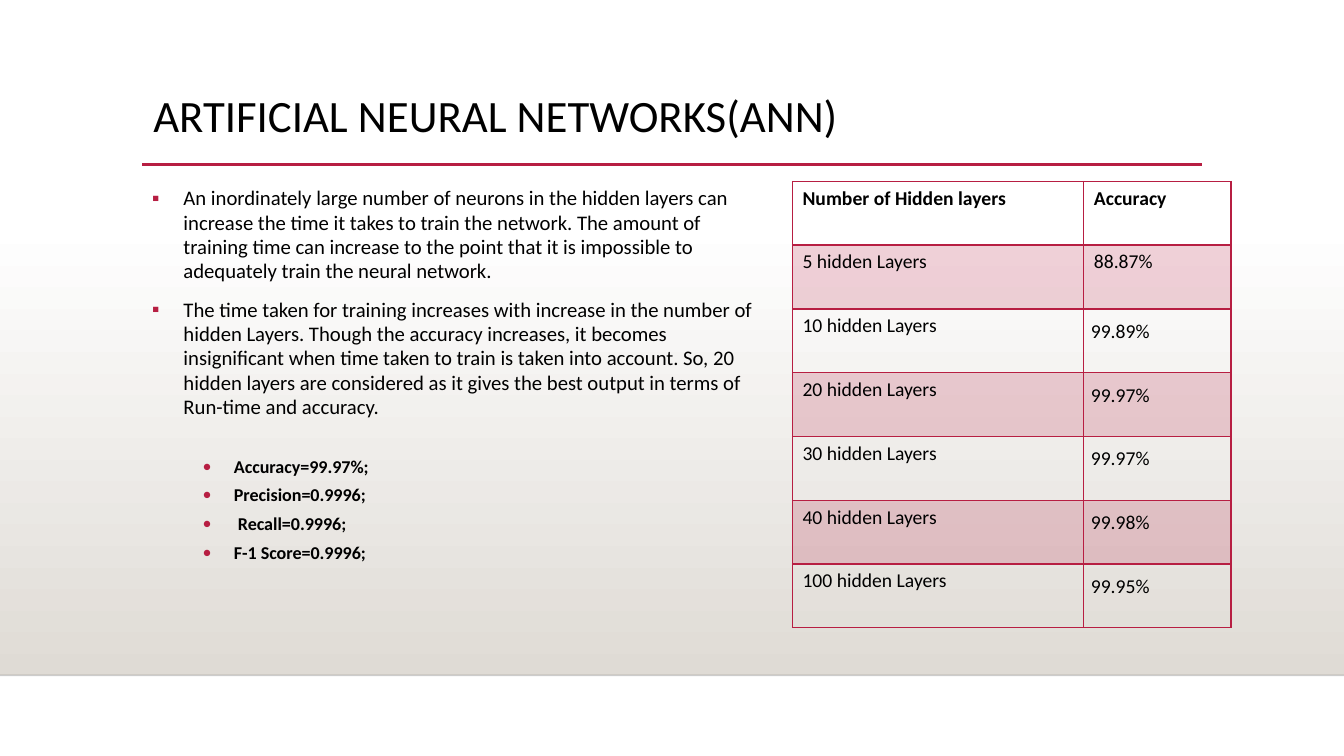
"""Build the slide on artificial neural networks with its accuracy table."""
from lxml import etree
from pptx import Presentation
from pptx.dml import color
from pptx.enum import shapes, text
from pptx.oxml import ns, parse_xml
from pptx.util import Inches, Pt

RED, BLACK, WHITE, SAND = "B71E42", "000000", "FFFFFF", "DFDBD5"
qn = ns.qn


def rgb(code):
    return color.RGBColor.from_string(code)


def write(p, content, size=14, bold=False, before=0, spacing=1.0,
          bullet=None, left=0.0, hanging=0.0):
    p.alignment = text.PP_ALIGN.LEFT
    p.space_before = Pt(before)
    p.line_spacing = spacing
    r = p.add_run()
    r.text = content
    r.font.name, r.font.size, r.font.bold = "Calibri", Pt(size), bold
    r.font.color.rgb = rgb(BLACK)
    if bullet:
        pPr = p._p.get_or_add_pPr()
        pPr.set("marL", str(Inches(left)))
        pPr.set("indent", str(-Inches(hanging)))
        clr = etree.SubElement(pPr, qn("a:buClr"))
        etree.SubElement(clr, qn("a:srgbClr"), val=RED)
        etree.SubElement(pPr, qn("a:buFont"), typeface="Calibri")
        etree.SubElement(pPr, qn("a:buChar"), char=bullet)


prs = Presentation()
prs.slide_width, prs.slide_height = Inches(13.33), Inches(7.5)
s = prs.slides.add_slide(prs.slide_layouts[1])

floor = s.shapes.add_shape(shapes.MSO_SHAPE.RECTANGLE, 0, Inches(2.21),
                           Inches(13.33), Inches(4.49))
floor.shadow.inherit = False
floor.line.fill.background()
floor.fill.gradient()
floor.fill.gradient_angle = 270
for stop, code in zip(floor.fill.gradient_stops, (WHITE, SAND)):
    stop.color.rgb = rgb(code)
s.shapes._spTree.insert(2, floor._element)

for x1, x2, y, code, width, alpha in [(0, 13.33, 6.7, BLACK, 1, 20),
                                      (1.41, 11.92, 1.63, RED, 2.5, 100)]:
    rule = s.shapes.add_connector(shapes.MSO_CONNECTOR.STRAIGHT,
                                  Inches(x1), Inches(y), Inches(x2), Inches(y))
    rule.line.color.rgb = rgb(code)
    rule.line.width = Pt(width)
    spPr = rule._element.spPr
    etree.SubElement(spPr.find(".//" + qn("a:srgbClr")), qn("a:alpha"),
                     val=str(alpha * 1000))
    etree.SubElement(spPr, qn("a:effectLst"))

title, body = s.placeholders[0], s.placeholders[1]
for sp, box in [(title, (1.42, 0.88, 10.5, 1.15)), (body, (1.41, 1.8, 6.15, 4.2))]:
    sp.left, sp.top, sp.width, sp.height = map(Inches, box)
    tf = sp.text_frame
    tf.word_wrap = True
    tf.auto_size = text.MSO_AUTO_SIZE.NONE
    tf.vertical_anchor = text.MSO_ANCHOR.TOP

write(title.text_frame.paragraphs[0], "ARTIFICIAL NEURAL NETWORKS(ANN)",
      size=32, spacing=0.9)

points = [
    "An inordinately large number of neurons in the hidden layers can increase "
    "the time it takes to train the network. The amount of training time can "
    "increase to the point that it is impossible to adequately train the neural "
    "network.",
    "The time taken for training increases with increase in the number of hidden "
    "Layers. Though the accuracy increases, it becomes insignificant when time "
    "taken to train is taken into account. So, 20 hidden layers are considered "
    "as it gives the best output in terms of Run-time and accuracy.",
]
scores = ["Accuracy=99.97%;", "Precision=0.9996;", " Recall=0.9996;",
          "F-1 Score=0.9996;"]
tf = body.text_frame
for i, point in enumerate(points):
    p = tf.add_paragraph() if i else tf.paragraphs[0]
    write(p, point, size=14.8, before=10, spacing=0.98, bullet="▪",
          left=0.31, hanging=0.31)
for i, score in enumerate(scores):
    p = tf.add_paragraph()
    p.level = 1
    write(p, score, size=12.9, bold=True, before=5 if i else 25.5, bullet="•",
          left=0.81, hanging=0.31)

rows = [("Number of Hidden layers", "Accuracy"),
        ("5 hidden Layers", "88.87%"), ("10 hidden Layers", "99.89%"),
        ("20 hidden Layers", "99.97%"), ("30 hidden Layers", "99.97%"),
        ("40 hidden Layers", "99.98%"), ("100 hidden Layers", "99.95%")]
table = s.shapes.add_table(len(rows), 2, Inches(7.86), Inches(1.8),
                           Inches(4.35), Inches(4.43)).table
table.horz_banding = False
table.columns[0].width, table.columns[1].width = Inches(2.89), Inches(1.46)
for i, row in enumerate(rows):
    table.rows[i].height = Inches(4.43 / len(rows))
    for j, content in enumerate(row):
        cell = table.cell(i, j)
        inset = j == 1 and i > 1
        if inset:
            cell.margin_left = cell.margin_right = Inches(0.07)
            cell.margin_top = cell.margin_bottom = Inches(0.07)
        write(cell.text_frame.paragraphs[0], content, bold=i == 0,
              spacing=1.15 if inset else 1.0)
        tcPr = cell._tc.get_or_add_tcPr()
        for side in "LRTB":
            thick = (i, side) in [(0, "B"), (1, "T")]
            tcPr.append(parse_xml(
                f'<a:ln{side} {ns.nsdecls("a")} w="{Pt(2 if thick else 1)}">'
                f'<a:solidFill><a:srgbClr val="{RED}"/></a:solidFill></a:ln{side}>'))
        if i % 2:
            cell.fill.solid()
            cell.fill.fore_color.rgb = rgb(RED)
            tint = tcPr.find(qn("a:solidFill") + "/" + qn("a:srgbClr"))
            etree.SubElement(tint, qn("a:alpha"), val="20000")
        else:
            cell.fill.background()

prs.save("out.pptx")
